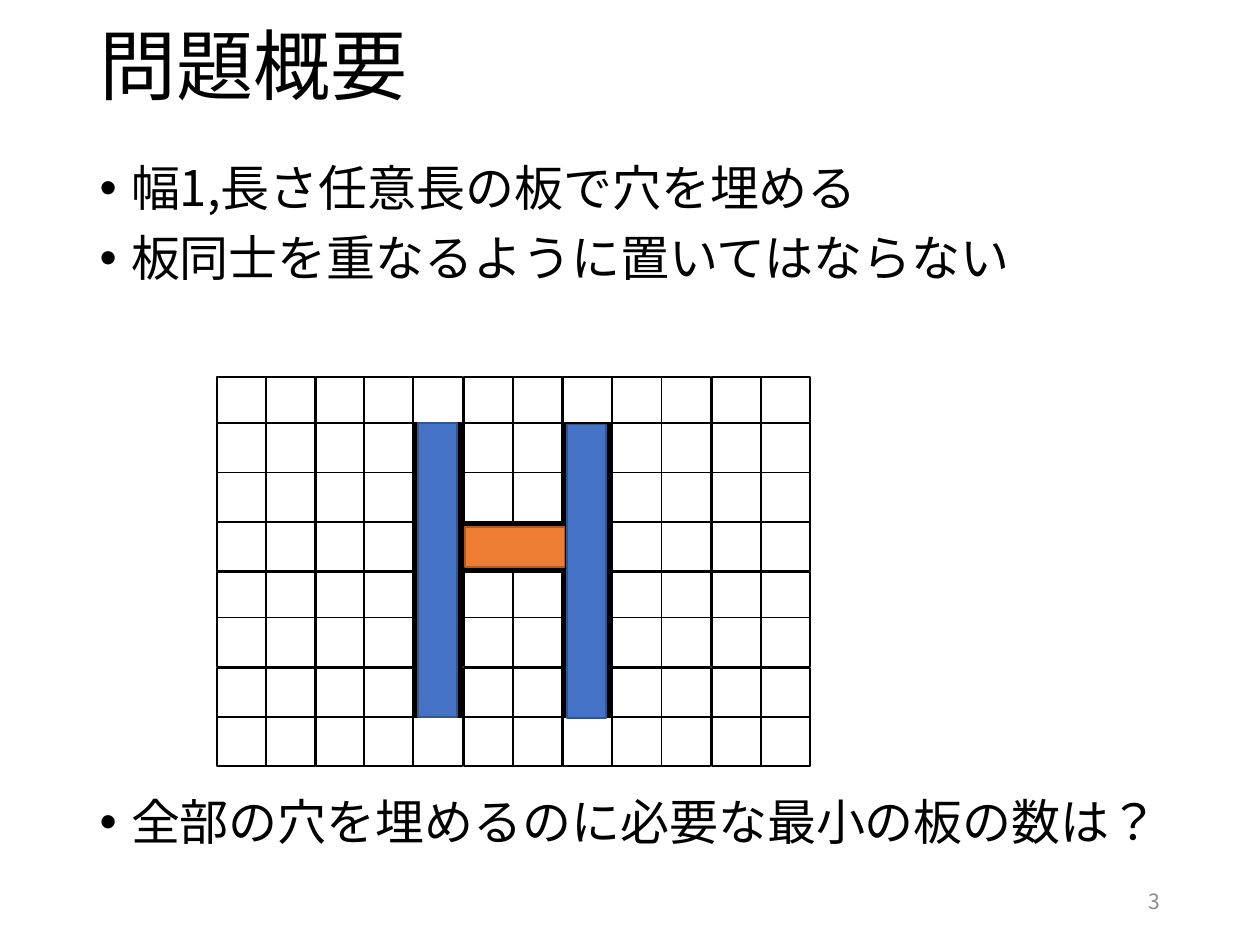
from lxml import etree
from pptx import Presentation
from pptx.dml.color import RGBColor
from pptx.enum.shapes import MSO_SHAPE
from pptx.enum.text import MSO_ANCHOR, MSO_AUTO_SIZE, PP_ALIGN
from pptx.oxml.ns import qn
from pptx.util import Inches, Pt

RECTANGLE = MSO_SHAPE.RECTANGLE
MIDDLE, TOP = MSO_ANCHOR.MIDDLE, MSO_ANCHOR.TOP
LEFT, RIGHT = PP_ALIGN.LEFT, PP_ALIGN.RIGHT
NO_AUTOFIT = MSO_AUTO_SIZE.NONE

FONT = "Noto Sans CJK JP"
BLACK = RGBColor(0x00, 0x00, 0x00)
WHITE = RGBColor(0xFF, 0xFF, 0xFF)
GRAY = RGBColor(0x8C, 0x8C, 0x8C)
BLUE = RGBColor(0x44, 0x72, 0xC4)
DARK_BLUE = RGBColor(0x32, 0x54, 0x91)
ORANGE = RGBColor(0xED, 0x7D, 0x31)
DARK_ORANGE = RGBColor(0xAF, 0x5C, 0x24)

# Content
TITLE = "問題概要"
BULLETS = [  # text, space before in points
    ("幅1,長さ任意長の板で穴を埋める", 10),
    ("板同士を重なるように置いてはならない", 10),
    ("全部の穴を埋めるのに必要な最小の板の数は\uff1f", 292),
]
PAGE_NUMBER = "3"

# "#" is a hole, "." is solid floor
FLOOR = [
    "............",
    "....#..#....",
    "....#..#....",
    "....####....",
    "....#..#....",
    "....#..#....",
    "....#..#....",
    "............",
]
ROW_TOPS = [2.99, 3.36, 3.75, 4.14, 4.54, 4.9, 5.3, 5.69]
COLUMN_LEFTS = [1.72, 2.11, 2.51, 2.89, 3.28, 3.68,
                4.07, 4.47, 4.86, 5.25, 5.65, 6.04]
CELL = 0.39
BOARDS = [  # left, top, width, height, fill, outline
    (3.32, 3.36, 0.31, 2.33, BLUE, DARK_BLUE),
    (4.5, 3.37, 0.31, 2.33, BLUE, DARK_BLUE),
    (3.69, 4.18, 0.79, 0.32, ORANGE, DARK_ORANGE),
]


def place(shape, left, top, width, height, anchor):
    shape.left, shape.top = Inches(left), Inches(top)
    shape.width, shape.height = Inches(width), Inches(height)
    frame = shape.text_frame
    frame.word_wrap = True
    frame.auto_size = NO_AUTOFIT
    frame.vertical_anchor = anchor
    return frame


def write(paragraph, text, size, color, alignment=LEFT, line_spacing=0.9):
    paragraph.text = text
    paragraph.alignment = alignment
    paragraph.line_spacing = line_spacing
    font = paragraph.font
    font.name, font.size = FONT, Pt(size)
    font.color.rgb = color
    # East Asian characters take their font from a separate element
    properties = paragraph._p.get_or_add_pPr().find(qn("a:defRPr"))
    latin = properties.find(qn("a:latin"))
    latin.addnext(etree.Element(qn("a:ea"), typeface=FONT))
    paragraph.runs[0]._r.get_or_add_rPr().set("lang", "ja-JP")


def add_rectangle(slide, left, top, width, height, fill, outline):
    shape = slide.shapes.add_shape(
        RECTANGLE, Inches(left), Inches(top), Inches(width), Inches(height))
    shape.shadow.inherit = False
    shape.fill.solid()
    shape.fill.fore_color.rgb = fill
    shape.line.color.rgb = outline
    shape.line.width = Pt(1)


presentation = Presentation()
presentation.slide_width, presentation.slide_height = Inches(10), Inches(7.5)
slide = presentation.slides.add_slide(presentation.slide_layouts[1])

# Title
title_frame = place(slide.shapes.title, 0.69, 0.15, 8.62, 0.8, MIDDLE)
write(title_frame.paragraphs[0], TITLE, 44, BLACK)

# Bullets, with a gap for the grid before the last one
body_frame = place(slide.placeholders[1], 0.69, 1.25, 8.7, 5.54, TOP)
for index, (text, space_before) in enumerate(BULLETS):
    paragraph = body_frame.add_paragraph() if index else body_frame.paragraphs[0]
    write(paragraph, text, 28, BLACK)
    paragraph.space_before = Pt(space_before)
    paragraph_properties = paragraph._p.get_or_add_pPr()
    paragraph_properties.set("marL", str(Inches(0.25)))
    paragraph_properties.set("indent", str(Inches(-0.25)))

# Page number
number_box = slide.shapes.add_textbox(0, 0, 0, 0)
number_frame = place(number_box, 7.06, 6.95, 2.25, 0.4, MIDDLE)
write(number_frame.paragraphs[0], PAGE_NUMBER, 12, GRAY, RIGHT, 1.0)

# Floor grid
for top, row in zip(ROW_TOPS, FLOOR):
    for left, mark in zip(COLUMN_LEFTS, row):
        add_rectangle(slide, left, top, CELL, CELL,
                      BLACK if mark == "#" else WHITE, BLACK)

# Boards over the holes
for board in BOARDS:
    add_rectangle(slide, *board)

presentation.save("out.pptx")
